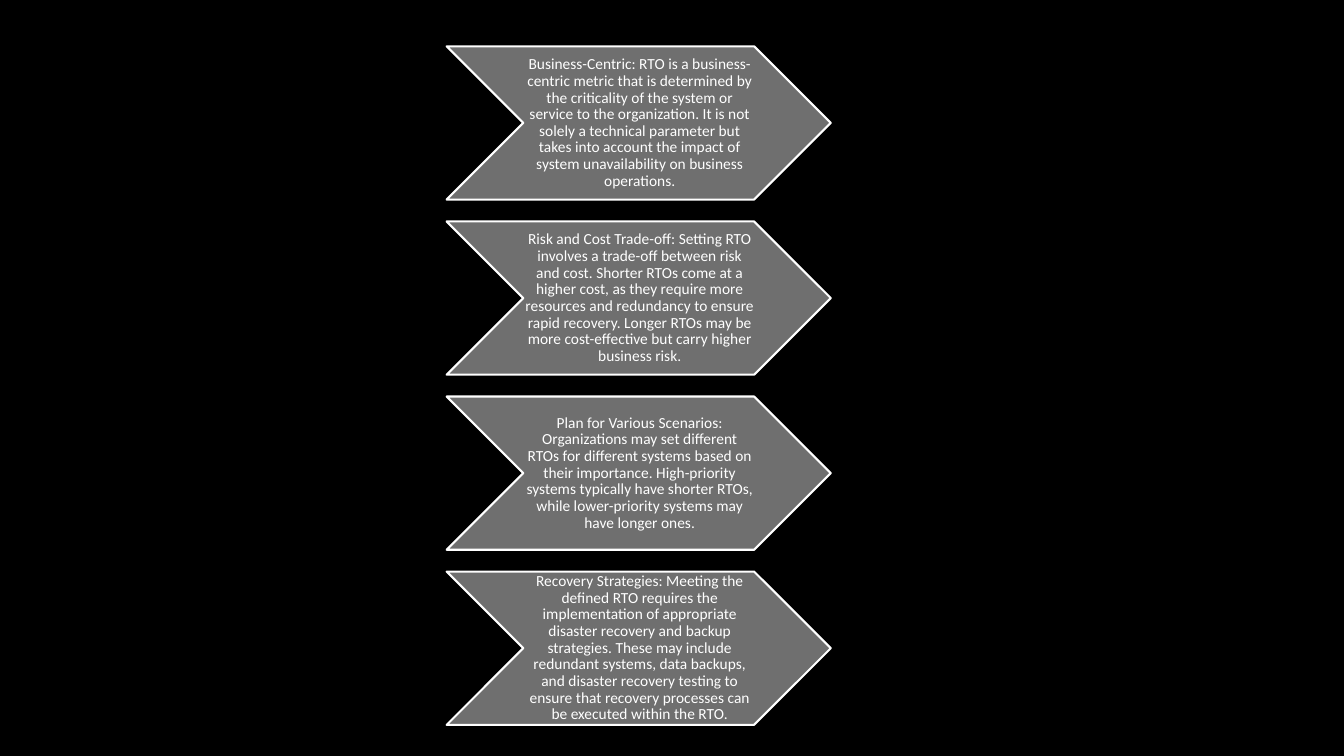
from pptx import Presentation
from pptx.dml.color import RGBColor
from pptx.enum.shapes import MSO_SHAPE as Preset
from pptx.enum.text import MSO_ANCHOR as Anchor, PP_ALIGN as Align
from pptx.util import Inches, Pt

COLORS = {"page": "000000", "chevron": "6F6F6F", "light": "FFFFFF"}

LEFT, TOP = 4.43, 0.46
WIDTH, HEIGHT = 3.81, 1.52
ROW_STEP = 1.737
TEXT_INSET = HEIGHT / 2

POINTS = [
    "Business-Centric: RTO is a business-centric metric that is determined by "
    "the criticality of the system or service to the organization. It is not "
    "solely a technical parameter but takes into account the impact of system "
    "unavailability on business operations.",
    "Risk and Cost Trade-off: Setting RTO involves a trade-off between risk and "
    "cost. Shorter RTOs come at a higher cost, as they require more resources "
    "and redundancy to ensure rapid recovery. Longer RTOs may be more "
    "cost-effective but carry higher business risk.",
    "Plan for Various Scenarios: Organizations may set different RTOs for "
    "different systems based on their importance. High-priority systems "
    "typically have shorter RTOs, while lower-priority systems may have longer "
    "ones.",
    "Recovery Strategies: Meeting the defined RTO requires the implementation "
    "of appropriate disaster recovery and backup strategies. These may include "
    "redundant systems, data backups, and disaster recovery testing to ensure "
    "that recovery processes can be executed within the RTO.",
]


def rgb(name):
    return RGBColor.from_string(COLORS[name])


def add_chevron(shapes, left, top, width, height):
    chevron = shapes.add_shape(Preset.CHEVRON, left, top, width, height)
    chevron.shadow.inherit = False
    chevron.fill.solid()
    chevron.fill.fore_color.rgb = rgb("chevron")
    chevron.line.color.rgb = rgb("light")
    chevron.line.width = Pt(1.5)


def add_text(shapes, text, left, top, width, height, size=11, font="Calibri",
             color="light", align=Align.CENTER):
    frame = shapes.add_textbox(left, top, width, height).text_frame
    frame.word_wrap = True
    frame.vertical_anchor = Anchor.MIDDLE
    frame.margin_left, frame.margin_right = Inches(0.02), 0
    frame.margin_top = frame.margin_bottom = Inches(0.01)
    para = frame.paragraphs[0]
    para.alignment = align
    para.line_spacing = 0.9
    para.space_after = Pt(0.35 * size)
    span = para.add_run()
    span.text = text
    span.font.size = Pt(size)
    span.font.name = font
    span.font.color.rgb = rgb(color)


def add_point(shapes, row, text):
    """Place a chevron in its row, with text between its notch and its tip."""
    top, height = Inches(TOP + row * ROW_STEP), Inches(HEIGHT)
    add_chevron(shapes, Inches(LEFT), top, Inches(WIDTH), height)
    add_text(shapes, text, Inches(LEFT + TEXT_INSET), top,
             Inches(WIDTH - 2 * TEXT_INSET), height)


def main():
    deck = Presentation()
    deck.slide_width, deck.slide_height = Inches(13.33), Inches(7.5)
    page = deck.slides.add_slide(deck.slide_layouts[6])
    page.background.fill.solid()
    page.background.fill.fore_color.rgb = rgb("page")
    diagram = page.shapes.add_group_shape()
    for row, text in enumerate(POINTS):
        add_point(diagram.shapes, row, text)
    deck.save("out.pptx")


if __name__ == "__main__":
    main()
